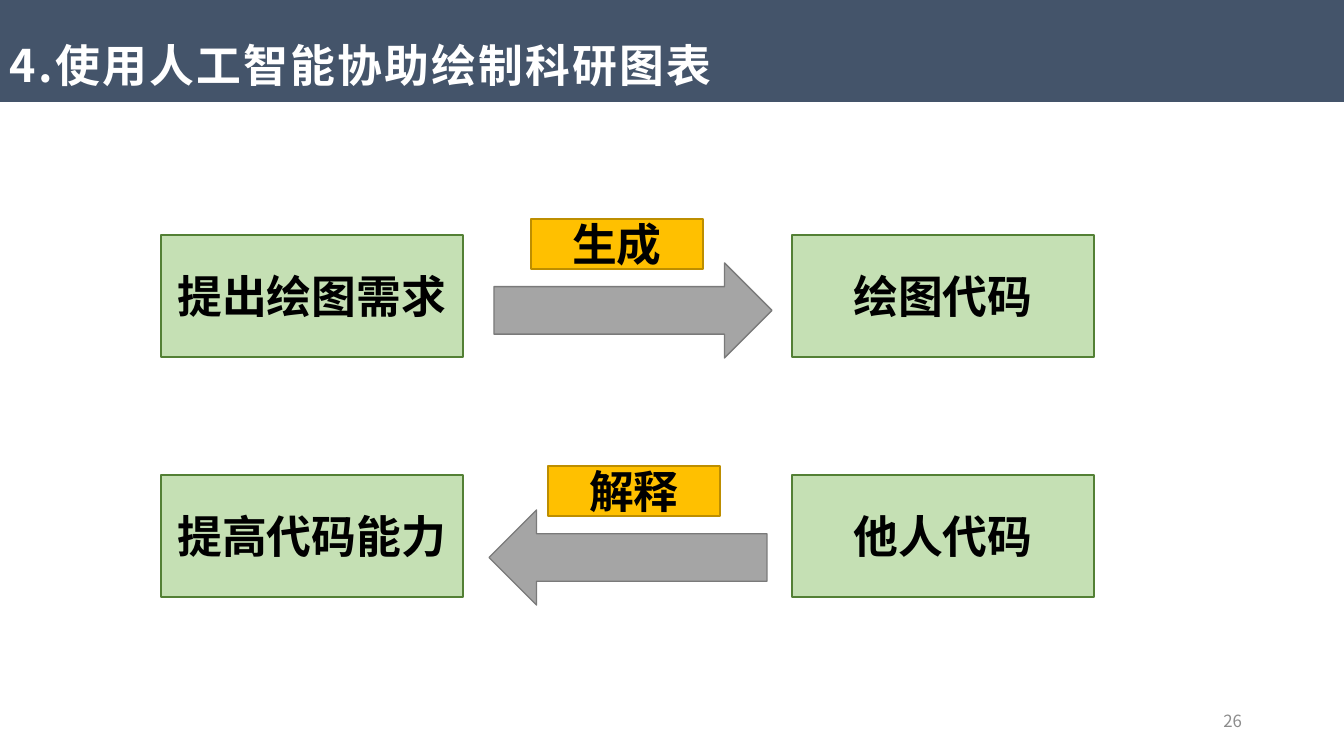
from pptx import Presentation
from pptx import util as u
from pptx.dml.color import RGBColor
from pptx.enum import shapes, text
from lxml import etree

PX = 914400 / 100.8
FONT = "Noto Sans CJK SC"
NS = "http://schemas.openxmlformats.org/drawingml/2006/main"
BOLD = {"size": u.Pt(32), "bold": True}

prs = Presentation()
prs.slide_width, prs.slide_height = round(1344 * PX), round(756 * PX)
slide = prs.slides.add_slide(prs.slide_layouts[6])


def add_block(kind, at, fill=None, line=None):
    """Add a preset shape at px (left, top, width, height)."""
    block = slide.shapes.add_shape(kind, *(round(v * PX) for v in at))
    block.shadow.inherit = False
    for part, color in ((block.fill, fill), (block.line.fill, line)):
        if color:
            part.solid()
            part.fore_color.rgb = RGBColor.from_string(color)
        else:
            part.background()
    if line:
        block.line.width = u.Pt(1)
    return block


def write(holder, words, color, align, font_values):
    frame = holder.text_frame
    frame.word_wrap = True
    frame.vertical_anchor = text.MSO_ANCHOR.MIDDLE
    paragraph = frame.paragraphs[0]
    paragraph.alignment = align
    run = paragraph.add_run()
    run.text = words
    run.font.name = FONT
    run.font.color.rgb = RGBColor.from_string(color)
    for name, value in font_values.items():
        setattr(run.font, name, value)
    props = run.font._element
    etree.SubElement(props, f"{{{NS}}}ea", typeface=FONT)
    return paragraph, props


RECT = shapes.MSO_SHAPE.RECTANGLE
ARROW = shapes.MSO_SHAPE.RIGHT_ARROW
LEFT, CENTER, RIGHT = text.PP_ALIGN.LEFT, text.PP_ALIGN.CENTER, text.PP_ALIGN.RIGHT

# Title band
band = add_block(RECT, (0, 0, 1344, 102), "44546A")
heading, heading_props = write(band, "4.使用人工智能协助绘制科研图表", "FFFFFF", LEFT, BOLD)
heading.line_spacing = 1.5
heading_props.set("spc", "160")

# Page number
page_number = slide.shapes.add_textbox(*(round(v * PX) for v in (950, 701, 302, 40)))
write(page_number, "26", "8C8C8C", RIGHT, {"size": u.Pt(12)})

# Two flows: box texts, box top, arrow place and turn, step name and place
flows = [
    (("提出绘图需求", "绘图代码"), 235, (494, 263), 0, "生成", (531, 219)),
    (("提高代码能力", "他人代码"), 475, (489, 510), 180, "解释", (548, 466)),
]
for stages, top, arrow_at, turn, step, step_at in flows:
    for left, stage in zip((161, 792), stages):
        box = add_block(RECT, (left, top, 302, 122), "C5E0B4", "538035")
        write(box, stage, "000000", CENTER, BOLD)
    arrow = add_block(ARROW, (*arrow_at, 278, 95), "A5A5A5", "7A7A7A")
    arrow.rotation = turn
    step_label = add_block(RECT, (*step_at, 172, 50), "FFC000", "BD8E00")
    write(step_label, step, "000000", CENTER, BOLD)

prs.save("out.pptx")
